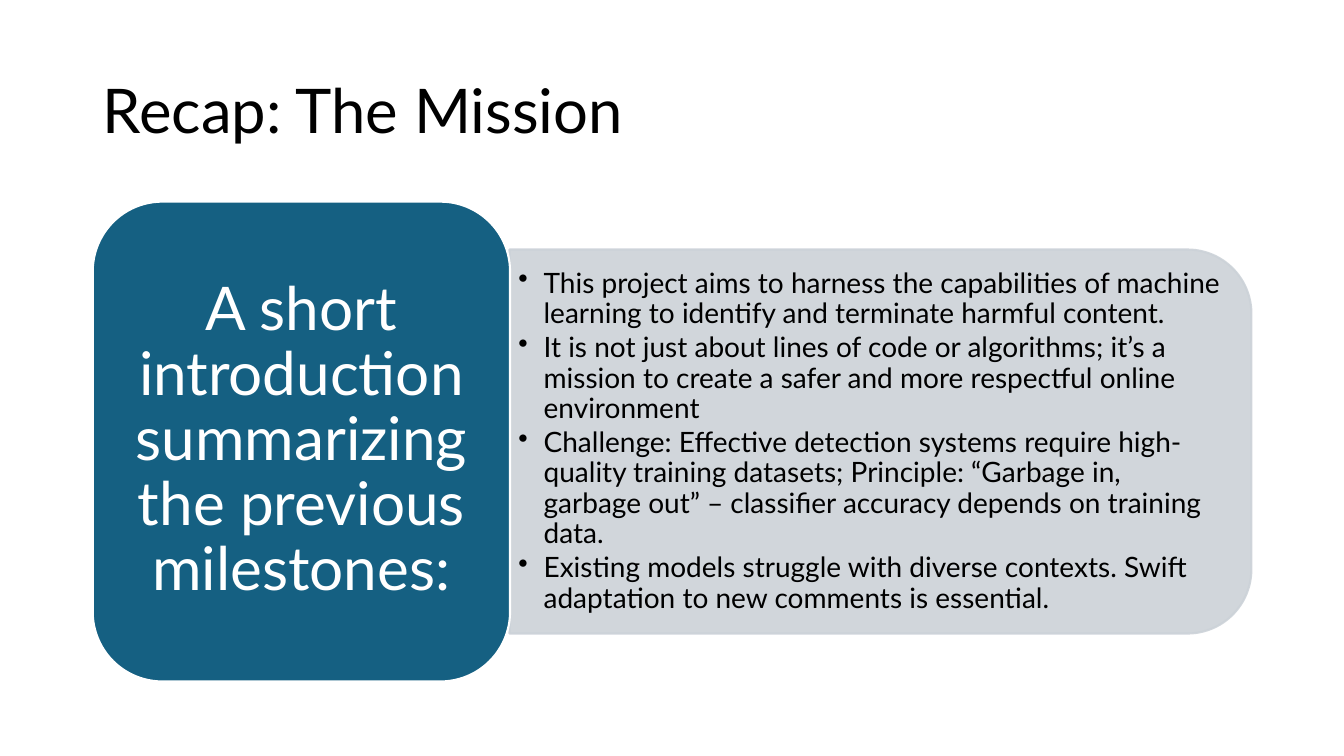
from dataclasses import dataclass

from lxml import etree
from pptx import Presentation
from pptx import util as u
from pptx.dml.color import RGBColor
from pptx.enum import shapes, text
from pptx.oxml import ns

SLIDE_W, SLIDE_H = u.Inches(13.333), u.Inches(7.5)


@dataclass(frozen=True)
class Theme:
    font: str = "Lato"
    ink: str = "000000"
    light: str = "FFFFFF"
    accent: str = "156082"
    panel: str = "CCD2D8"
    panel_opacity: int = 90
    outline: float = 1.5
    title_size: int = 44
    lead_size: int = 43
    point_size: int = 20
    line_spacing: float = 0.9


THEME = Theme()


@dataclass(frozen=True)
class Area:
    """A rectangle in percent of the slide's width and height."""
    left: float
    top: float
    width: float
    height: float

    def emu(self) -> tuple[int, int, int, int]:
        return (round(SLIDE_W * self.left / 100), round(SLIDE_H * self.top / 100),
                round(SLIDE_W * self.width / 100), round(SLIDE_H * self.height / 100))


@dataclass(frozen=True)
class Block:
    area: Area
    kind: shapes.MSO_SHAPE
    fill: str
    line: str
    opacity: int = 100
    quarter_turn: bool = False


@dataclass(frozen=True)
class Copy:
    """A text box; insets and spacing are in points."""
    area: Area
    paragraphs: tuple[str, ...]
    size: int
    color: str
    inset_x: float = 7.2
    inset_y: float = 3.6
    space_after: float = 0
    align: text.PP_ALIGN = text.PP_ALIGN.LEFT
    bulleted: bool = False


BLOCKS = (
    Block(Area(37.91, 33, 55.2, 50.8), shapes.MSO_SHAPE.ROUND_2_SAME_RECTANGLE,
          THEME.panel, THEME.panel, THEME.panel_opacity, quarter_turn=True),
    Block(Area(6.9, 26.67, 31.05, 63.47), shapes.MSO_SHAPE.ROUNDED_RECTANGLE,
          THEME.accent, THEME.light),
)

COPIES = (
    Copy(Area(6.9, 5.33, 86.25, 19.33), ("Recap: The Mission",),
         THEME.title_size, THEME.ink),
    Copy(Area(37.95, 35.47, 53.77, 45.87), (
        "This project aims to harness the capabilities of machine learning "
        "to identify and terminate harmful content.",
        "It is not just about lines of code or algorithms; it’s a mission "
        "to create a safer and more respectful online environment",
        "Challenge: Effective detection systems require high-quality training "
        "datasets; Principle: “Garbage in, garbage out” – classifier accuracy "
        "depends on training data.",
        "Existing models struggle with diverse contexts. Swift adaptation "
        "to new comments is essential.",
    ), THEME.point_size, THEME.ink, inset_x=6, inset_y=3, space_after=3, bulleted=True),
    Copy(Area(8.4, 29.33, 28.05, 58),
         ("A short introduction summarizing the previous milestones:",),
         THEME.lead_size, THEME.light, inset_x=12.9, inset_y=6.45,
         space_after=15, align=text.PP_ALIGN.CENTER),
)


def set_opacity(sp, percent: int) -> None:
    for color in sp._element.spPr.iter(ns.qn("a:srgbClr")):
        etree.SubElement(color, ns.qn("a:alpha"), val=str(percent * 1000))


def add_block(s, block: Block) -> None:
    x, y, w, h = block.area.emu()
    if block.quarter_turn:
        x, y, w, h = x + (w - h) // 2, y + (h - w) // 2, h, w
    sp = s.shapes.add_shape(block.kind, x, y, w, h)
    sp.rotation = 90 if block.quarter_turn else 0
    sp.shadow.inherit = False
    sp.fill.solid()
    sp.fill.fore_color.rgb = RGBColor.from_string(block.fill)
    sp.line.color.rgb = RGBColor.from_string(block.line)
    sp.line.width = u.Pt(THEME.outline)
    if block.opacity < 100:
        set_opacity(sp, block.opacity)


def add_bullet(p) -> None:
    """Give the paragraph a round bullet with a quarter-inch hanging indent."""
    p.level = 1
    pPr = p._p.get_or_add_pPr()
    indent = u.Inches(0.25)
    pPr.set("marL", str(indent))
    pPr.set("indent", str(-indent))
    etree.SubElement(pPr, ns.qn("a:buChar"), char="•")


def add_copy(s, copy: Copy) -> None:
    tf = s.shapes.add_textbox(*copy.area.emu()).text_frame
    tf.word_wrap = True
    tf.vertical_anchor = text.MSO_ANCHOR.MIDDLE
    tf.margin_left = tf.margin_right = u.Pt(copy.inset_x)
    tf.margin_top = tf.margin_bottom = u.Pt(copy.inset_y)
    for i, words in enumerate(copy.paragraphs):
        p = tf.add_paragraph() if i else tf.paragraphs[0]
        p.alignment = copy.align
        p.line_spacing = THEME.line_spacing
        p.space_after = u.Pt(copy.space_after)
        if copy.bulleted:
            add_bullet(p)
        r = p.add_run()
        r.text = words
        r.font.name = THEME.font
        r.font.size = u.Pt(copy.size)
        r.font.color.rgb = RGBColor.from_string(copy.color)


def main() -> None:
    prs = Presentation()
    prs.slide_width, prs.slide_height = SLIDE_W, SLIDE_H
    s = prs.slides.add_slide(prs.slide_layouts[6])
    for block in BLOCKS:
        add_block(s, block)
    for copy in COPIES:
        add_copy(s, copy)
    prs.save("out.pptx")


if __name__ == "__main__":
    main()
